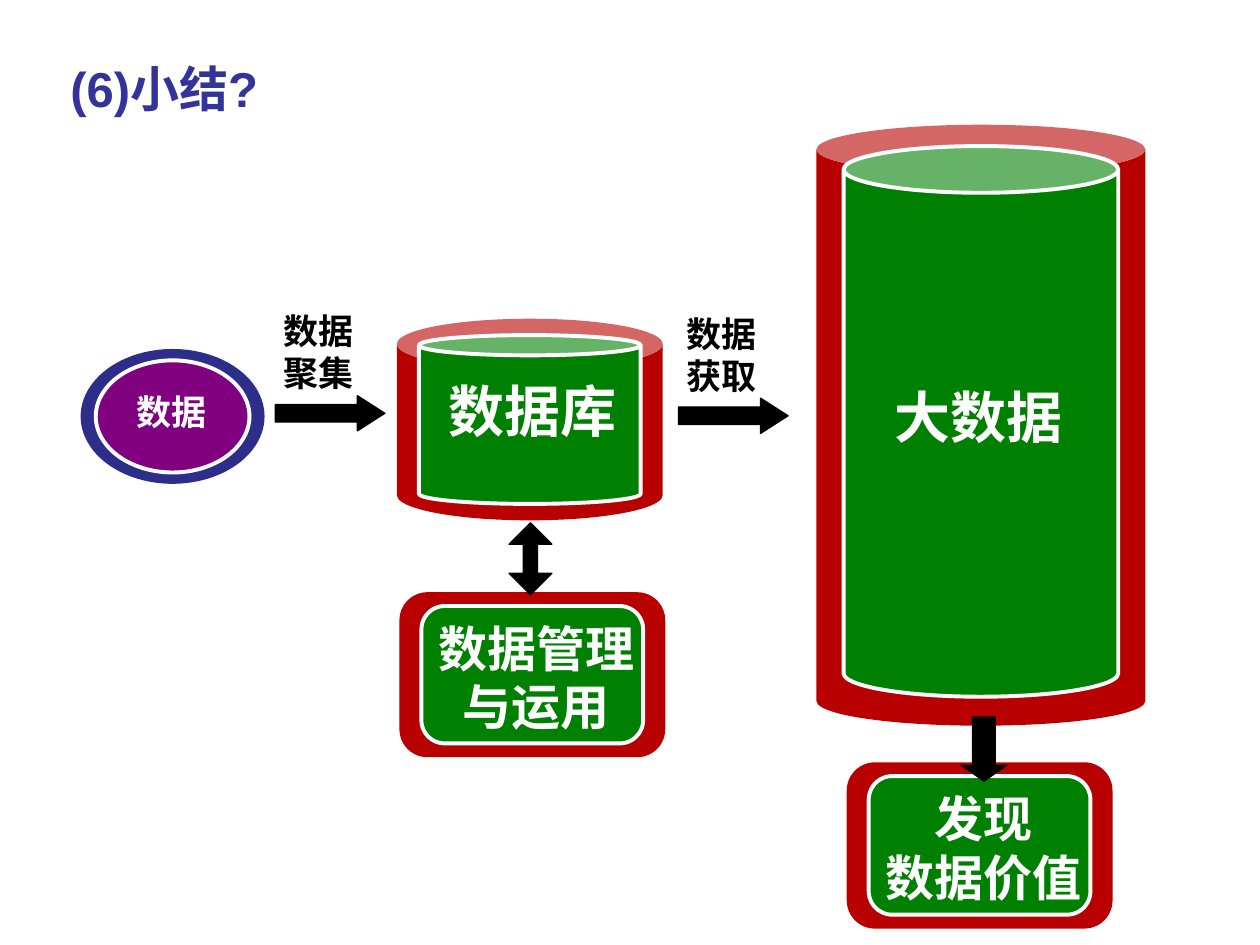
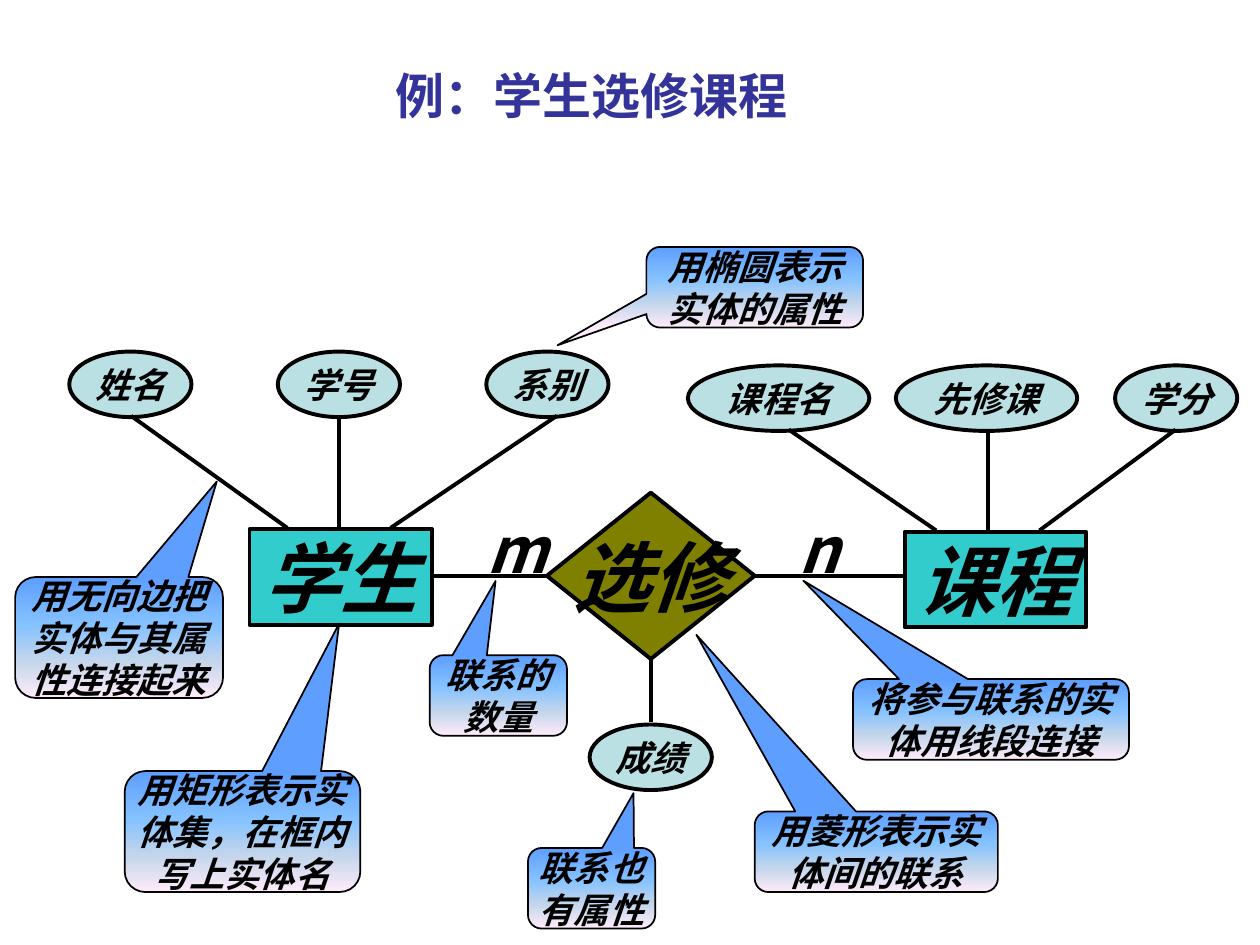
from collections import namedtuple

from lxml import etree
from pptx import Presentation
from pptx.dml.color import RGBColor
from pptx.enum.shapes import MSO_CONNECTOR, MSO_SHAPE
from pptx.enum.text import MSO_ANCHOR, PP_ALIGN
from pptx.oxml.ns import qn
from pptx.util import Inches, Pt

CAN = MSO_SHAPE.CAN
OVAL = MSO_SHAPE.OVAL
RECTANGLE = MSO_SHAPE.RECTANGLE
ROUNDED = MSO_SHAPE.ROUNDED_RECTANGLE
DIAMOND = MSO_SHAPE.DIAMOND
CALLOUT = MSO_SHAPE.ROUNDED_RECTANGULAR_CALLOUT
RIGHT_ARROW = MSO_SHAPE.RIGHT_ARROW
DOWN_ARROW = MSO_SHAPE.DOWN_ARROW
UP_DOWN_ARROW = MSO_SHAPE.UP_DOWN_ARROW
STRAIGHT = MSO_CONNECTOR.STRAIGHT
TOP, MIDDLE = MSO_ANCHOR.TOP, MSO_ANCHOR.MIDDLE
LEFT, CENTER = PP_ALIGN.LEFT, PP_ALIGN.CENTER

BLACK = RGBColor(0x00, 0x00, 0x00)
WHITE = RGBColor(0xFF, 0xFF, 0xFF)
TITLE_BLUE = RGBColor(0x33, 0x33, 0x99)
RED = RGBColor(0xB9, 0x00, 0x00)
GREEN = RGBColor(0x00, 0x80, 0x00)
NAVY = RGBColor(0x2D, 0x2D, 0x8A)
PURPLE = RGBColor(0x80, 0x00, 0x80)
TURQUOISE = RGBColor(0x33, 0xCC, 0xCC)
OLIVE = RGBColor(0x80, 0x80, 0x00)
PALE_TEAL = RGBColor(0xBB, 0xE0, 0xE3)
NOTE_STOPS = (
    (0, RGBColor(0x5E, 0x9E, 0xFF)),
    (40, RGBColor(0x85, 0xC2, 0xFF)),
    (70, RGBColor(0xC4, 0xD6, 0xEB)),
    (100, RGBColor(0xFF, 0xEB, 0xFA)),
)

LATIN = "Arial"
CJK_SC = "Noto Sans CJK SC"
CJK_JP = "Noto Sans CJK JP"
SLIDE_W, SLIDE_H = Inches(10), Inches(7.5)
COLUMNS, ROWS = 100, 75
LINE_PITCH = 1.2

Style = namedtuple("Style", "size font color italic", defaults=(False,))
TITLE = Style(28, LATIN, TITLE_BLUE)
STORE_NAME = Style(32, LATIN, WHITE)
TASK_NAME = Style(28, CJK_SC, WHITE)
SOURCE_NAME = Style(20, CJK_SC, WHITE)
STEP_NAME = Style(20, LATIN, BLACK)
ENTITY_NAME = Style(44, CJK_JP, BLACK, True)
COUNT_NAME = Style(36, CJK_JP, BLACK, True)
SMALL_NAME = Style(20, CJK_JP, BLACK, True)


class Box(namedtuple("Box", "left top width height")):
    def area(self, right, down, width, height):
        return Box(self.left + right, self.top + down, width, height)

    def inset(self, side, top, bottom):
        return self.area(side, top, self.width - 2 * side,
                         self.height - top - bottom)


def across(columns):
    return round(columns * SLIDE_W / COLUMNS)


def down(rows):
    return round(rows * SLIDE_H / ROWS)


def place(box):
    return across(box.left), down(box.top), across(box.width), down(box.height)


def write(holder, text, style, align=CENTER, anchor=TOP, wrap=True,
          padded=True, pitch=LINE_PITCH):
    frame = holder.text_frame
    frame.word_wrap = wrap
    frame.vertical_anchor = anchor
    if not padded:
        frame.margin_left = frame.margin_right = 0
        frame.margin_top = frame.margin_bottom = 0
    for index, line in enumerate(text.split("\n")):
        paragraph = frame.add_paragraph() if index else frame.paragraphs[0]
        paragraph.alignment = align
        paragraph.line_spacing = Pt(style.size * pitch)
        run = paragraph.add_run()
        run.text = line
        font = run.font
        font.name, font.size = style.font, Pt(style.size)
        font.bold, font.italic = True, style.italic
        font.color.rgb = style.color
        east_asian = CJK_SC if style.font == LATIN else style.font
        etree.SubElement(run._r.rPr, qn("a:ea")).set("typeface", east_asian)


def add_text(slide, box, text, style, **options):
    write(slide.shapes.add_textbox(*place(box)), text, style, **options)


def add_shape(slide, kind, box, fill=None, line=None, weight=2.25, adjust=()):
    shape = slide.shapes.add_shape(kind, *place(box))
    shape.shadow.inherit = False
    for index, value in enumerate(adjust):
        shape.adjustments[index] = value
    if fill is None:
        shape.fill.background()
    else:
        shape.fill.solid()
        shape.fill.fore_color.rgb = fill
    if line is None:
        shape.line.fill.background()
    else:
        shape.line.color.rgb = line
        shape.line.width = Pt(weight)
    return shape


def add_link(slide, x1, y1, x2, y2):
    link = slide.shapes.add_connector(STRAIGHT, across(x1), down(y1),
                                      across(x2), down(y2))
    link.line.color.rgb = BLACK
    link.line.width = Pt(2.25)
    etree.SubElement(link._element.spPr, qn("a:effectLst"))


def add_framed(slide, kind, outer, inner, label, text, style,
               bends=(0.17, 0.17, 0.17)):
    add_shape(slide, kind, outer, RED, adjust=bends[:1])
    add_shape(slide, kind, inner, GREEN, WHITE, adjust=bends[1:2])
    write(add_shape(slide, kind, label, adjust=bends[2:]), text, style)


def add_task(slide, box, text):
    add_framed(slide, ROUNDED, box, box.inset(1.75, 1.1, 1.1),
               box.area(-0.6, 1, 22.9, 11.5), text, TASK_NAME)


def add_source(slide, box, text):
    add_shape(slide, OVAL, box, NAVY)
    core = box.inset(1.2, 0.9, 0.9)
    add_shape(slide, OVAL, core, PURPLE, WHITE)
    add_text(slide, core.area(0, 1.9, 12, 4.4), text, SOURCE_NAME)


def add_arrow(slide, kind, box, head):
    add_shape(slide, kind, box, BLACK, BLACK, 0.75, (0.5, head))


def add_step(slide, box, text):
    add_text(slide, box.area(0, 0, 9, 7.7), text, STEP_NAME, align=LEFT)
    add_arrow(slide, RIGHT_ARROW, box.area(0.35, 7.3, 8.7, 2.8), 0.78)


def build_summary(slide):
    add_text(slide, Box(4.6, 2.8, 18.2, 6.2), "(6)小结?", TITLE,
             align=LEFT, wrap=False, pitch=1.55)
    database = Box(31.5, 25.3, 21.1, 16)
    big_data = Box(64.8, 9.9, 26.1, 47.7)
    add_task(slide, Box(31.7, 47, 21.1, 13.1), "数据管理 与运用")
    add_framed(slide, CAN, database, database.inset(1.75, 1.3, 1.3),
               database.area(0, 3.1, 21.6, 7.9), "数据库", STORE_NAME,
               (0.25, 0.12, 0.13))
    add_source(slide, Box(6.4, 27.7, 14.6, 10.7), "数据")
    add_framed(slide, CAN, big_data, big_data.inset(2.15, 1.7, 2.3),
               big_data.area(4.2, 17.4, 17.4, 10.2), "大数据", STORE_NAME,
               (0.15, 0.17, 0.25))
    add_step(slide, Box(21.5, 24.1, 9, 10.1), "数据聚集")
    add_step(slide, Box(53.5, 24.3, 9, 10.1), "数据获取")
    add_arrow(slide, UP_DOWN_ARROW, Box(40.4, 41.5, 3.4, 5.7), 0.33)
    add_task(slide, Box(67.2, 60.5, 21.1, 13.2), "发现\n数据价值")
    add_arrow(slide, DOWN_ARROW, Box(76.3, 56.9, 3.6, 5.1), 0.35)


def add_attribute(slide, box, name):
    oval = add_shape(slide, OVAL, box, PALE_TEAL, BLACK)
    write(oval, name, SMALL_NAME, anchor=MIDDLE, wrap=False, padded=False)


def add_entity(slide, box, name, rise, width, first_foot, attributes):
    rectangle = add_shape(slide, RECTANGLE, box, TURQUOISE, BLACK)
    write(rectangle, name, ENTITY_NAME, anchor=MIDDLE, wrap=False)
    for index, (attribute, offset, oval_width, tip) in enumerate(attributes):
        oval = box.area(offset, -rise, oval_width or width, 5.2)
        add_attribute(slide, oval, attribute)
        add_link(slide, box.left + first_foot + 4.1 * index, box.top - 0.1,
                 box.left + tip, oval.top + oval.height - 0.1)


def add_relation(slide, box, name, attribute):
    diamond = add_shape(slide, DIAMOND, box, OLIVE, BLACK)
    write(diamond, name, ENTITY_NAME, anchor=MIDDLE, wrap=False)
    middle = box.left + box.width / 2
    add_attribute(slide, box.area(3.4, 18.4, 9.7, 5.2), attribute)
    add_link(slide, middle, box.top + box.height, middle, box.top + 18.2)


def add_note(slide, box, text, tail):
    note = add_shape(slide, CALLOUT, box, WHITE, BLACK, 1, (*tail, 0.17))
    note.fill.gradient()
    note.fill.gradient_angle = 270
    stops = note._element.spPr.find(".//" + qn("a:gsLst"))
    for stop in list(stops):
        stops.remove(stop)
    for percent, color in NOTE_STOPS:
        stop = etree.SubElement(stops, qn("a:gs"))
        stop.set("pos", str(percent * 1000))
        etree.SubElement(stop, qn("a:srgbClr")).set("val", str(color))
    write(note, text, SMALL_NAME, anchor=MIDDLE, padded=False)


def build_course_example(slide):
    add_text(slide, Box(13.6, 4.1, 66.7, 5.7), "例：学生选修课程", TITLE,
             pitch=1.35)
    student = Box(19.8, 42, 14.5, 7.6)
    course = Box(71.8, 42.2, 14.4, 7.6)
    choice = Box(43.4, 39.1, 16.5, 13.2)
    add_entity(slide, student, "学生", 14.1, 9.7, 3, (
        ("姓名", -14.3, None, -9.4),
        ("学号", 2.25, None, 7.1),
        ("系别", 18.8, None, 24.4),
    ))
    add_entity(slide, course, "课程", 13.2, 14.4, 2.5, (
        ("课程名", -17.2, None, -9.2),
        ("先修课", -0.7, None, 6.6),
        ("学分", 16.7, 9.7, 21.5),
    ))
    add_relation(slide, choice, "选修", "成绩")
    axis = choice.top + choice.height / 2
    add_link(slide, choice.left, axis, student.left + student.width, axis)
    add_link(slide, course.left, axis, choice.left + choice.width, axis)
    for count, left in (("m", 37.6), ("n", 62.4)):
        add_text(slide, Box(left, 42.1, 3.3, 2.9), count, COUNT_NAME,
                 anchor=MIDDLE, wrap=False)
    notes = (
        (Box(9.9, 61.2, 18.7, 9.6), "用矩形表示实体集，在框内写上实体名", (0.41, -1.72)),
        (Box(51.3, 19.6, 17.2, 6.4), "用椭圆表示实体的属性", (-0.91, 0.72)),
        (Box(1.2, 45.8, 16.5, 9.6), "用无向边把实体与其属性连接起来", (0.47, -1.29)),
        (Box(59.9, 64.4, 19.3, 6.4), "用菱形表示实体间的联系", (-0.74, -2.69)),
        (Box(67.7, 53.9, 21.9, 6.4), "将参与联系的实体用线段连接", (-0.68, -1.72)),
        (Box(34.1, 52, 10.9, 6.4), "联系的\n数量", (-0.02, -1.42)),
        (Box(41.9, 67.3, 10.1, 6.4), "联系也有属性", (0.33, -1.18)),
    )
    for box, text, tail in notes:
        add_note(slide, box, text, tail)


def main():
    deck = Presentation()
    deck.slide_width, deck.slide_height = SLIDE_W, SLIDE_H
    blank = deck.slide_layouts[6]
    for build in (build_summary, build_course_example):
        build(deck.slides.add_slide(blank))
    deck.save("out.pptx")


if __name__ == "__main__":
    main()
